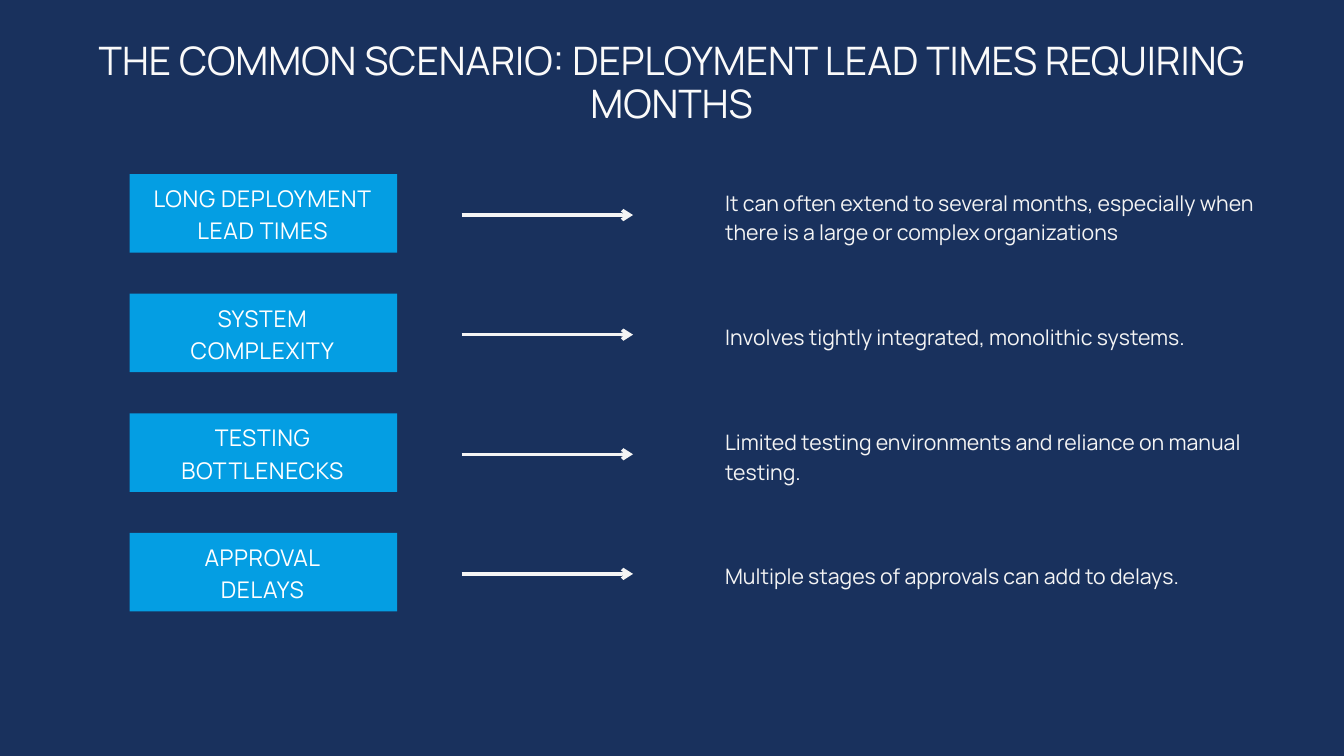
"""Build the slide on deployment lead times that take months."""
from lxml.etree import SubElement
from pptx import Presentation
from pptx.dml.color import RGBColor as RGB
from pptx.enum.shapes import MSO_CONNECTOR as LINE, MSO_SHAPE as SHAPE
from pptx.enum.text import MSO_ANCHOR as ANCHOR, MSO_AUTO_SIZE as FIT, PP_ALIGN as ALIGN
from pptx.oxml.ns import qn
from pptx.util import Pt

TITLE = "THE COMMON SCENARIO: DEPLOYMENT LEAD TIMES REQUIRING MONTHS"
ROWS = [
    (["LONG DEPLOYMENT LEAD TIMES"],
     "It can often extend to several months, especially when there is a large or complex organizations"),
    (["SYSTEM COMPLEXITY"], "Involves tightly integrated, monolithic systems."),
    (["TESTING", "BOTTLENECKS"],
     "Limited testing environments and reliance on manual testing."),
    (["APPROVAL", "DELAYS"], "Multiple stages of approvals can add to delays."),
]
COLORS = {"back": "19315D", "box": "049EE3", "head": "FAFAFA",
          "label": "FFFFFF", "note": "F4F4F4"}
FONT = "Manrope"
PX = 9144
TOP, PITCH = 259, 178


def px(*sizes):
    return [size * PX for size in sizes]


def paint(fill, name):
    fill.solid()
    fill.fore_color.rgb = RGB.from_string(COLORS[name])


def write(shape, lines, name, size, lead, align, anchor, pad=(0, 0, 0, 0), gap=0):
    frame = shape.text_frame
    frame.word_wrap = True
    frame.auto_size = FIT.NONE
    frame.vertical_anchor = anchor
    (frame.margin_left, frame.margin_top,
     frame.margin_right, frame.margin_bottom) = px(*pad)
    for i, line in enumerate(lines):
        para = frame.add_paragraph() if i else frame.paragraphs[0]
        para.alignment = align
        para.line_spacing = Pt(lead)
        para.space_before = Pt(0)
        run = para.add_run()
        run.text = line
        run.font.name = FONT
        run.font.size = Pt(size)
        run.font.color.rgb = RGB.from_string(COLORS[name])
        if gap:
            run.font._element.set("spc", str(gap))


def add_box(slide, lines, top):
    box = slide.shapes.add_shape(SHAPE.RECTANGLE, *px(193, top, 398, 117))
    box.shadow.inherit = False
    paint(box.fill, "box")
    box.line.fill.background()
    write(box, lines, "label", 24.6, 34.5, ALIGN.CENTER, ANCHOR.TOP,
          pad=(22, 9, 25, 0), gap=70)


def add_arrow(slide, y):
    arrow = slide.shapes.add_connector(LINE.STRAIGHT, *px(687, y, 942, y))
    paint(arrow.line.fill, "note")
    arrow.line.width = Pt(3.75)
    SubElement(arrow.line._get_or_add_ln(), qn("a:tailEnd"), type="arrow")
    SubElement(arrow._element.spPr, qn("a:effectLst"))


def add_note(slide, text, top):
    note = slide.shapes.add_textbox(*px(1079, top, 791, 87))
    write(note, [text], "note", 22.8, 31.9, ALIGN.LEFT, ANCHOR.MIDDLE)


def main():
    deck = Presentation()
    deck.slide_width, deck.slide_height = px(2000, 1125)
    slide = deck.slides.add_slide(deck.slide_layouts[5])
    paint(slide.background.fill, "back")

    title = slide.shapes.title
    title.left, title.top, title.width, title.height = px(78, 60, 1843, 133)
    write(title, [TITLE], "head", 42, 46.2, ALIGN.CENTER, ANCHOR.TOP)

    for i, (label, text) in enumerate(ROWS):
        top = TOP + i * PITCH
        add_box(slide, label, top)
        add_arrow(slide, top + 61)
        add_note(slide, text, top + 18)

    deck.save("out.pptx")


if __name__ == "__main__":
    main()
